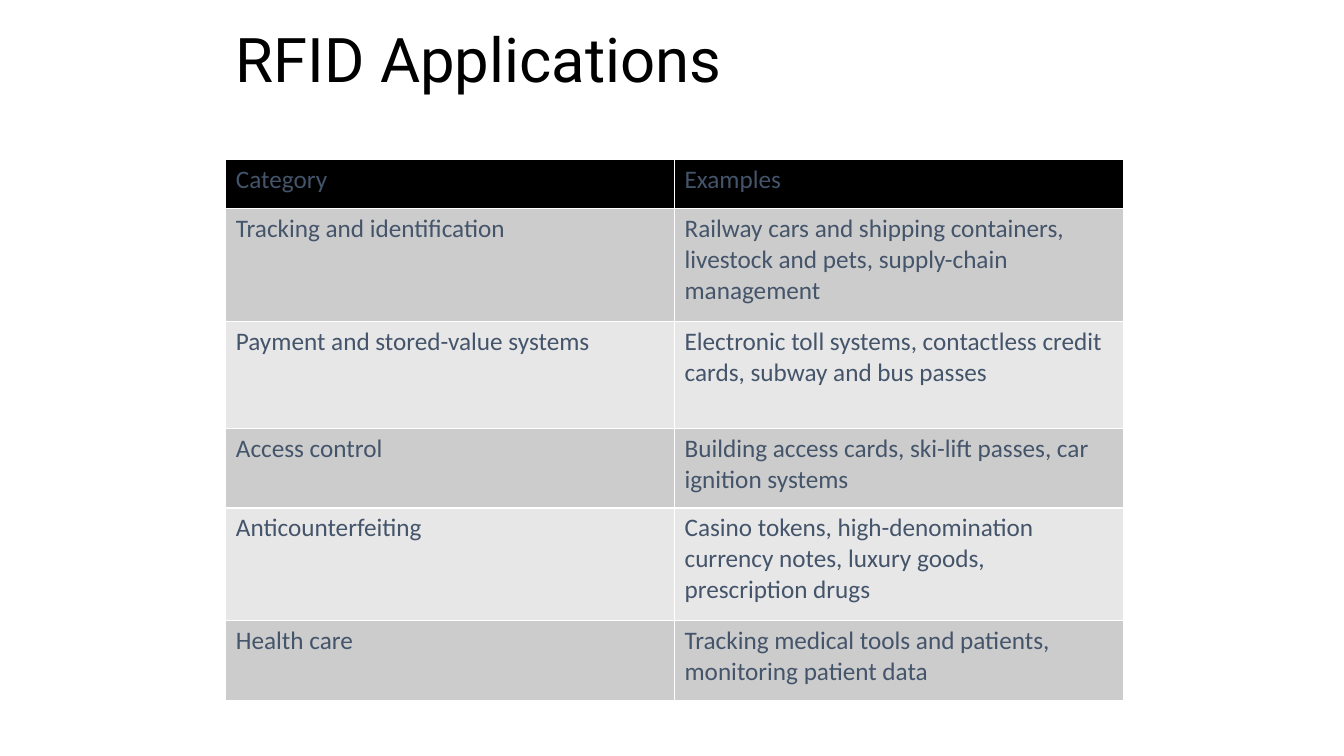
from dataclasses import dataclass

from lxml.etree import SubElement
from pptx import Presentation
from pptx.dml.color import RGBColor
from pptx.enum.text import MSO_ANCHOR
from pptx.oxml.ns import qn
from pptx.util import Inches, Pt


@dataclass(frozen=True)
class Theme:
    title_font: str = "Roboto"
    body_font: str = "Calibri"
    title_size: int = 44
    body_size: int = 18
    title_color: str = "000000"
    body_color: str = "44546A"
    header_fill: str = "000000"
    band_fills: tuple = ("CCCCCC", "E7E7E7")
    border_color: str = "FFFFFF"
    border_width: int = 1


THEME = Theme()

HEADER = ("Category", "Examples")
APPLICATIONS = [
    ("Tracking and identification",
     "Railway cars and shipping containers, livestock and pets, supply-chain management"),
    ("Payment and stored-value systems",
     "Electronic toll systems, contactless credit cards, subway and bus passes"),
    ("Access control",
     "Building access cards, ski-lift passes, car ignition systems"),
    ("Anticounterfeiting",
     "Casino tokens, high-denomination currency notes, luxury goods, prescription drugs"),
    ("Health care",
     "Tracking medical tools and patients, monitoring patient data"),
]
ROW_HEIGHTS = (0.49, 1.12, 1.06, 0.79, 1.12, 0.79)


def add_run(p, text, font, size, color):
    r = p.add_run()
    r.text = text
    r.font.name = font
    r.font.size = Pt(size)
    r.font.bold = False
    r.font.color.rgb = RGBColor.from_string(color)


def add_title(s, text, left, top, width, height):
    sp = s.shapes.add_textbox(Inches(left), Inches(top), Inches(width), Inches(height))
    tf = sp.text_frame
    tf.word_wrap = True
    tf.vertical_anchor = MSO_ANCHOR.MIDDLE
    p = tf.paragraphs[0]
    p.line_spacing = 0.9
    add_run(p, text, THEME.title_font, THEME.title_size, THEME.title_color)


def set_borders(cell):
    """Line all four sides; lines must precede the fill in the cell properties."""
    tc_pr = cell._tc.get_or_add_tcPr()
    for i, side in enumerate(("a:lnL", "a:lnR", "a:lnT", "a:lnB")):
        ln = SubElement(tc_pr, qn(side), w=str(Pt(THEME.border_width)))
        fill = SubElement(ln, qn("a:solidFill"))
        SubElement(fill, qn("a:srgbClr"), val=THEME.border_color)
        tc_pr.insert(i, ln)


def fill_cell(cell, text, fill):
    cell.fill.solid()
    cell.fill.fore_color.rgb = RGBColor.from_string(fill)
    set_borders(cell)
    add_run(cell.text_frame.paragraphs[0], text,
            THEME.body_font, THEME.body_size, THEME.body_color)


def add_applications_table(s, left, top, width):
    rows = [HEADER] + APPLICATIONS
    table = s.shapes.add_table(
        len(rows), len(HEADER), Inches(left), Inches(top),
        Inches(width), Inches(sum(ROW_HEIGHTS))).table
    for column in table.columns:
        column.width = Inches(width / len(HEADER))
    for i, (texts, height) in enumerate(zip(rows, ROW_HEIGHTS)):
        table.rows[i].height = Inches(height)
        fill = THEME.band_fills[(i - 1) % 2] if i else THEME.header_fill
        for j, text in enumerate(texts):
            fill_cell(table.cell(i, j), text, fill)


def main():
    prs = Presentation()
    prs.slide_width, prs.slide_height = Inches(13.33), Inches(7.5)
    s = prs.slides.add_slide(prs.slide_layouts[6])
    add_title(s, "RFID Applications", 2.24, 0, 9, 1.25)
    add_applications_table(s, 2.24, 1.58, 8.9)
    prs.save("out.pptx")


if __name__ == "__main__":
    main()
